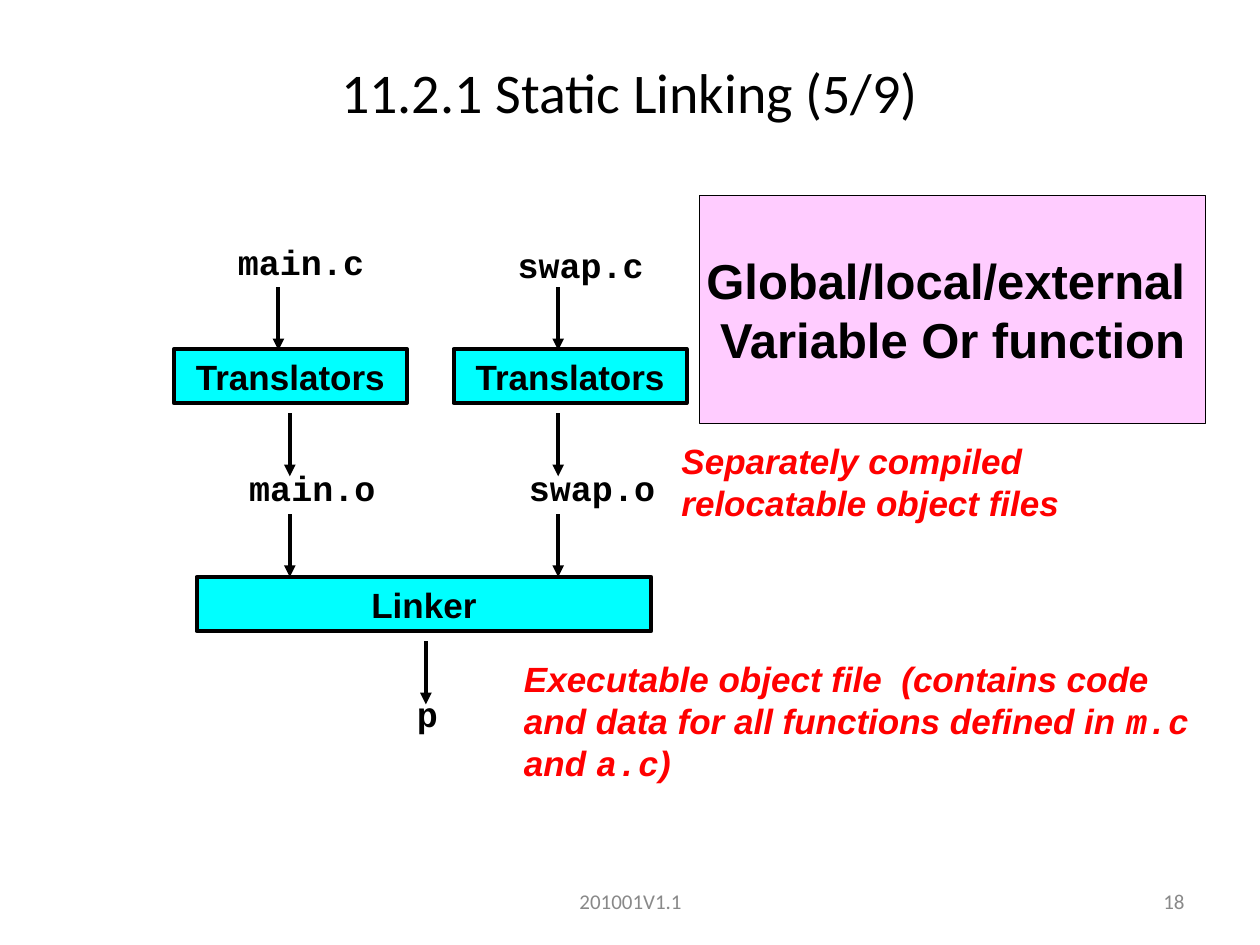
from lxml import etree
from pptx import Presentation
from pptx import util as u
from pptx.dml.color import RGBColor
from pptx.enum import shapes, text
from pptx.oxml.ns import qn

BLACK = RGBColor(0x00, 0x00, 0x00)
GRAY = RGBColor(0x89, 0x89, 0x89)
RED = RGBColor(0xFF, 0x00, 0x00)
CYAN = RGBColor(0x00, 0xFF, 0xFF)
PINK = RGBColor(0xFF, 0xCC, 0xFF)
LEFT, CENTER, RIGHT = text.PP_ALIGN.LEFT, text.PP_ALIGN.CENTER, text.PP_ALIGN.RIGHT
TOP, MIDDLE = text.MSO_ANCHOR.TOP, text.MSO_ANCHOR.MIDDLE

deck = Presentation()
deck.slide_width, deck.slide_height = u.Inches(10), u.Inches(7.5)
page = deck.slides.add_slide(deck.slide_layouts[6])


def write(box, lines, size, font="Arial", color=BLACK, bold=True, italic=False,
          align=LEFT, anchor=TOP, wrap=True):
    """Fill a box; each line is a list of (words, font or None) spans."""
    frame = box.text_frame
    frame.word_wrap = wrap
    frame.vertical_anchor = anchor
    for index, spans in enumerate(lines):
        para = frame.add_paragraph() if index else frame.paragraphs[0]
        para.alignment = align
        para.font.name, para.font.size = font, u.Pt(size)
        para.font.bold, para.font.italic = bold, italic
        para.font.color.rgb = color
        for words, span_font in spans:
            span = para.add_run()
            span.text = words
            if span_font:
                span.font.name = span_font


def add_box(place, fill=None, line_width=2.25):
    """Add a filled rectangle, or a plain text box when there is no fill."""
    place = [u.Inches(length) for length in place]
    if fill is None:
        return page.shapes.add_textbox(*place)
    box = page.shapes.add_shape(shapes.MSO_SHAPE.RECTANGLE, *place)
    box.shadow.inherit = False
    box.fill.solid()
    box.fill.fore_color.rgb = fill
    box.line.color.rgb = BLACK
    box.line.width = u.Pt(line_width)
    return box


# Title and footer
for words, place, size, color, align in [
    ("11.2.1 Static Linking (5/9)", (0, 0.3, 10, 0.85), 32, BLACK, CENTER),
    ("201001V1.1", (3.42, 6.95, 3.17, 0.4), 12, GRAY, CENTER),
    ("18", (7.17, 6.95, 2.33, 0.4), 12, GRAY, RIGHT),
]:
    write(add_box(place), [[(words, None)]], size, "Calibri", color,
          bold=False, align=align, anchor=MIDDLE)

# Arrows, all of one length
ARROW_LENGTH = 0.5
for x, y in [(2.21, 2.28), (4.43, 2.28), (2.3, 3.28), (4.43, 3.28),
             (2.3, 4.08), (4.43, 4.08), (3.38, 5.09)]:
    arrow = page.shapes.add_connector(
        shapes.MSO_CONNECTOR.STRAIGHT, u.Inches(x), u.Inches(y),
        u.Inches(x), u.Inches(y + ARROW_LENGTH))
    arrow.line.color.rgb = BLACK
    arrow.line.width = u.Pt(2.25)
    etree.SubElement(arrow.line._get_or_add_ln(), qn("a:tailEnd"), type="triangle")
    etree.SubElement(arrow._element.spPr, qn("a:effectLst"))

# Build steps
for words, x, y, width in [("Translators", 1.38, 2.77, 1.85),
                           ("Translators", 3.6, 2.77, 1.85),
                           ("Linker", 1.56, 4.58, 3.61)]:
    write(add_box((x, y, width, 0.43), CYAN), [[(words, None)]], 20, align=CENTER)

# File names
for name, x, y, width in [("main.c", 1.79, 1.86, 1.2), ("swap.c", 4.01, 1.88, 1.2),
                          ("main.o", 1.88, 3.65, 1.2), ("swap.o", 4.1, 3.65, 1.2),
                          ("p", 3.21, 5.45, 0.36)]:
    write(add_box((x, y, width, 0.44)), [[(name, None)]], 20, "Courier New", wrap=False)

# Red remarks
object_files = [("Separately compiled relocatable object files", None)]
executable = [
    ("Executable object file  (contains code and data for all functions defined in ", None),
    ("m.c", "Courier New"), (" and ", None), ("a.c", "Courier New"), (")", None),
]
for spans, place in [(object_files, (5.31, 3.44, 3.62, 0.77)),
                     (executable, (4.06, 5.17, 5.51, 1.1))]:
    write(add_box(place), [spans], 20, color=RED, italic=True)

# Pink panel
panel = add_box((5.55, 1.55, 4.02, 1.81), PINK, 0.75)
write(panel, [[("Global/local/external ", None)], [("Variable Or function", None)]],
      28, align=CENTER, anchor=MIDDLE, wrap=False)

deck.save("out.pptx")
